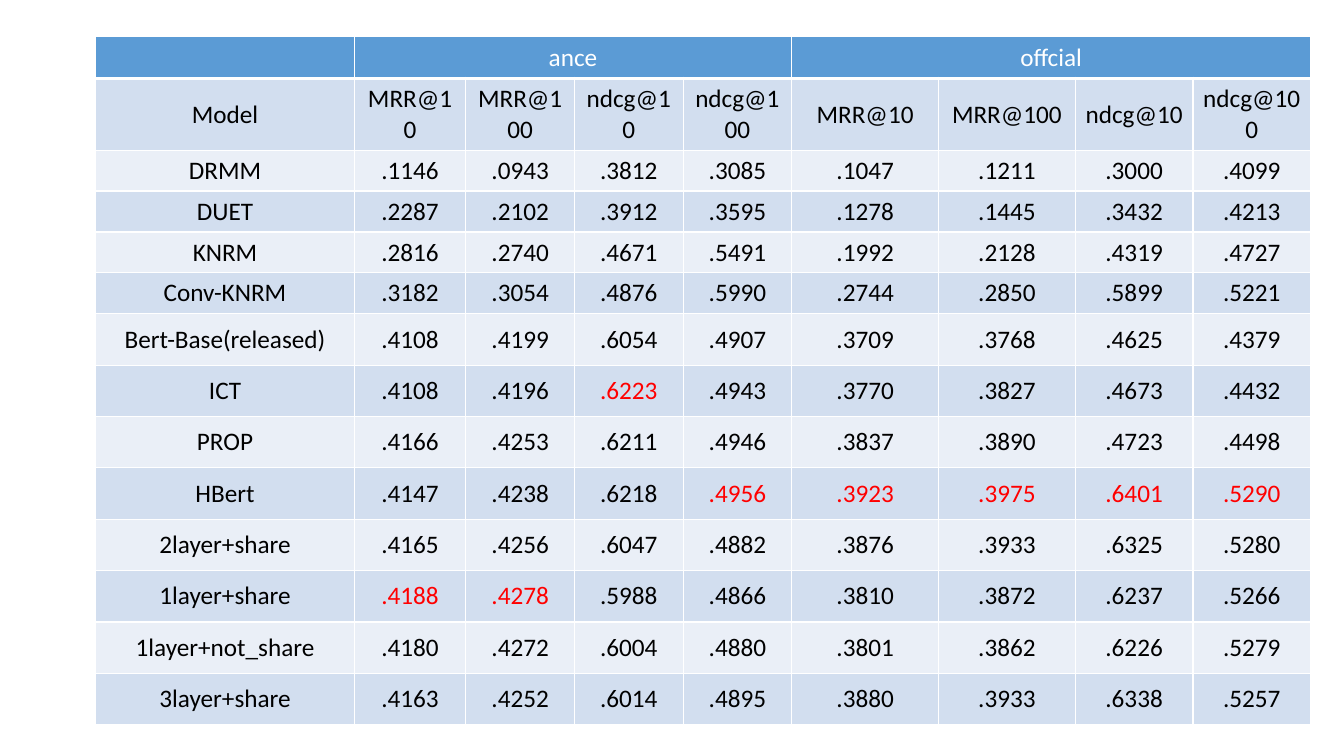
from dataclasses import dataclass
from itertools import product

from lxml.etree import SubElement as Sub
from pptx import Presentation
from pptx.dml.color import RGBColor as Rgb
from pptx.enum.text import MSO_ANCHOR as Anchor, PP_ALIGN as Align
from pptx.oxml.ns import qn
from pptx.util import Inches, Pt


@dataclass(frozen=True)
class Theme:
    """Colours, type and line widths (in points) of the slide."""
    head: str = "5B9BD5"
    bands: tuple = ("EAEFF7", "D2DEEF")
    light: str = "FFFFFF"
    ink: str = "000000"
    best: str = "FF0000"
    font: str = "Calibri"
    size: int = 18
    thin: int = 1
    thick: int = 3


THEME = Theme()
BOX = (7.13, 4.8, 90.4, 90.67)  # left, top, width, height in % of the slide
COLS = (2.57, 1.11, 1.08, 1.08, 1.08, 1.46, 1.36, 1.17, 1.17)
ROWS = (0.42, 0.7) + (0.4,) * 4 + (0.51,) * 8
GROUPS = ("ance", "offcial")
METRICS = ("MRR@10", "MRR@100", "ndcg@10", "ndcg@100")
SCORES = """
DRMM .1146 .0943 .3812 .3085 .1047 .1211 .3000 .4099
DUET .2287 .2102 .3912 .3595 .1278 .1445 .3432 .4213
KNRM .2816 .2740 .4671 .5491 .1992 .2128 .4319 .4727
Conv-KNRM .3182 .3054 .4876 .5990 .2744 .2850 .5899 .5221
Bert-Base(released) .4108 .4199 .6054 .4907 .3709 .3768 .4625 .4379
ICT .4108 .4196 .6223 .4943 .3770 .3827 .4673 .4432
PROP .4166 .4253 .6211 .4946 .3837 .3890 .4723 .4498
HBert .4147 .4238 .6218 .4956 .3923 .3975 .6401 .5290
2layer+share .4165 .4256 .6047 .4882 .3876 .3933 .6325 .5280
1layer+share .4188 .4278 .5988 .4866 .3810 .3872 .6237 .5266
1layer+not_share .4180 .4272 .6004 .4880 .3801 .3862 .6226 .5279
3layer+share .4163 .4252 .6014 .4895 .3880 .3933 .6338 .5257
"""
BERT = 6  # first table row of the models that compete for the best score


def put(thing, form):
    """Set every attribute named in form on thing."""
    for name, value in form.items():
        setattr(thing, name, value)


def edge(cell, side, width):
    """Draw one border of a cell."""
    line = Sub(cell._tc.get_or_add_tcPr(), qn(f"a:ln{side}"), w=str(Pt(width)))
    Sub(Sub(line, qn("a:solidFill")), qn("a:srgbClr"), val=THEME.light)


def style(cell, text, fill, ink, wide):
    """Write and format one cell; wide lists its thick sides."""
    for side in "LRTB":
        edge(cell, side, THEME.thick if side in wide else THEME.thin)
    cell.fill.solid()
    cell.fill.fore_color.rgb = Rgb.from_string(fill)
    put(cell, {"text": text, "vertical_anchor": Anchor.MIDDLE})
    para = cell.text_frame.paragraphs[0]
    para.alignment = Align.CENTER
    for run in para.runs:
        put(run.font, {"name": THEME.font, "size": Pt(THEME.size), "bold": False})
        run.font.color.rgb = Rgb.from_string(ink)


def grid():
    """Return the table's text, row by row."""
    top = [""]
    for group in GROUPS:
        top += [group] + [""] * (len(METRICS) - 1)
    names = ["Model", *METRICS * len(GROUPS)]
    return [top, names] + [row.split() for row in SCORES.strip().splitlines()]


def board(slide, box):
    """Place the score table in box (left, top, width, height)."""
    data = grid()
    table = slide.shapes.add_table(len(ROWS), len(COLS), *box).table
    put(table, {"first_row": False, "horz_banding": False})
    for col, part in zip(table.columns, COLS):
        col.width = int(box[2] * part / sum(COLS))
    for row, part in zip(table.rows, ROWS):
        row.height = int(box[3] * part / sum(ROWS))
    peak = [max(col) for col in zip(*data[BERT:])]
    for r, c in product(range(len(ROWS)), range(len(COLS))):
        text = data[r][c]
        fill, ink = THEME.bands[r % 2], THEME.ink
        if r == 0:
            fill, ink = THEME.head, THEME.light
        elif r >= BERT and c and text == peak[c]:
            ink = THEME.best
        style(table.cell(r, c), text, fill, ink, {0: "B", 1: "T"}.get(r, ""))
    step = len(METRICS)
    for left in range(1, len(COLS), step):
        table.cell(0, left).merge(table.cell(0, left + step - 1))


def main():
    """Build and save the one-slide deck."""
    deck = Presentation()
    wide, high = Inches(13.33), Inches(7.5)
    put(deck, {"slide_width": wide, "slide_height": high})
    slide = deck.slides.add_slide(deck.slide_layouts[6])
    box = [int(part * full / 100) for part, full in zip(BOX, (wide, high) * 2)]
    board(slide, box)
    deck.save("out.pptx")


main()
